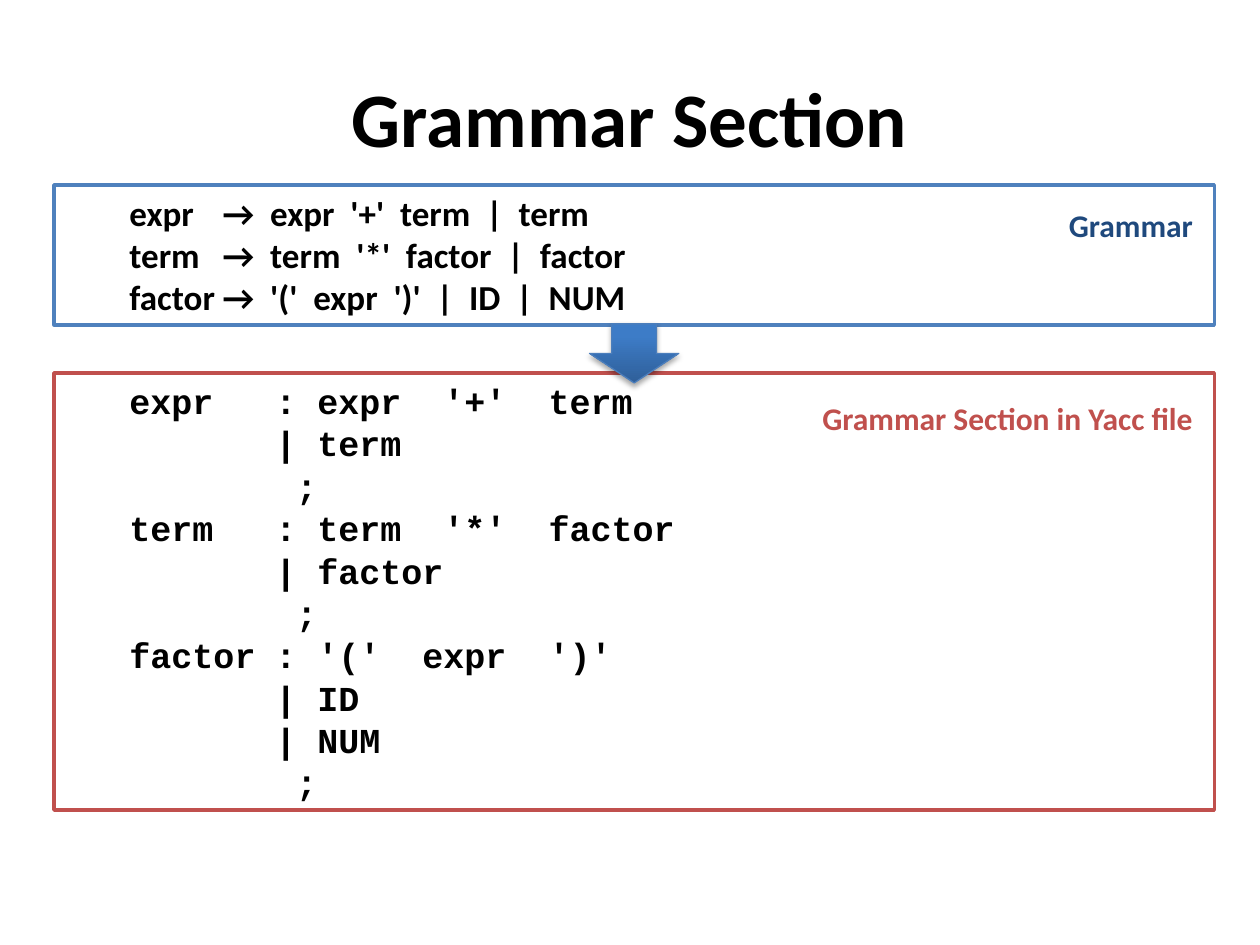
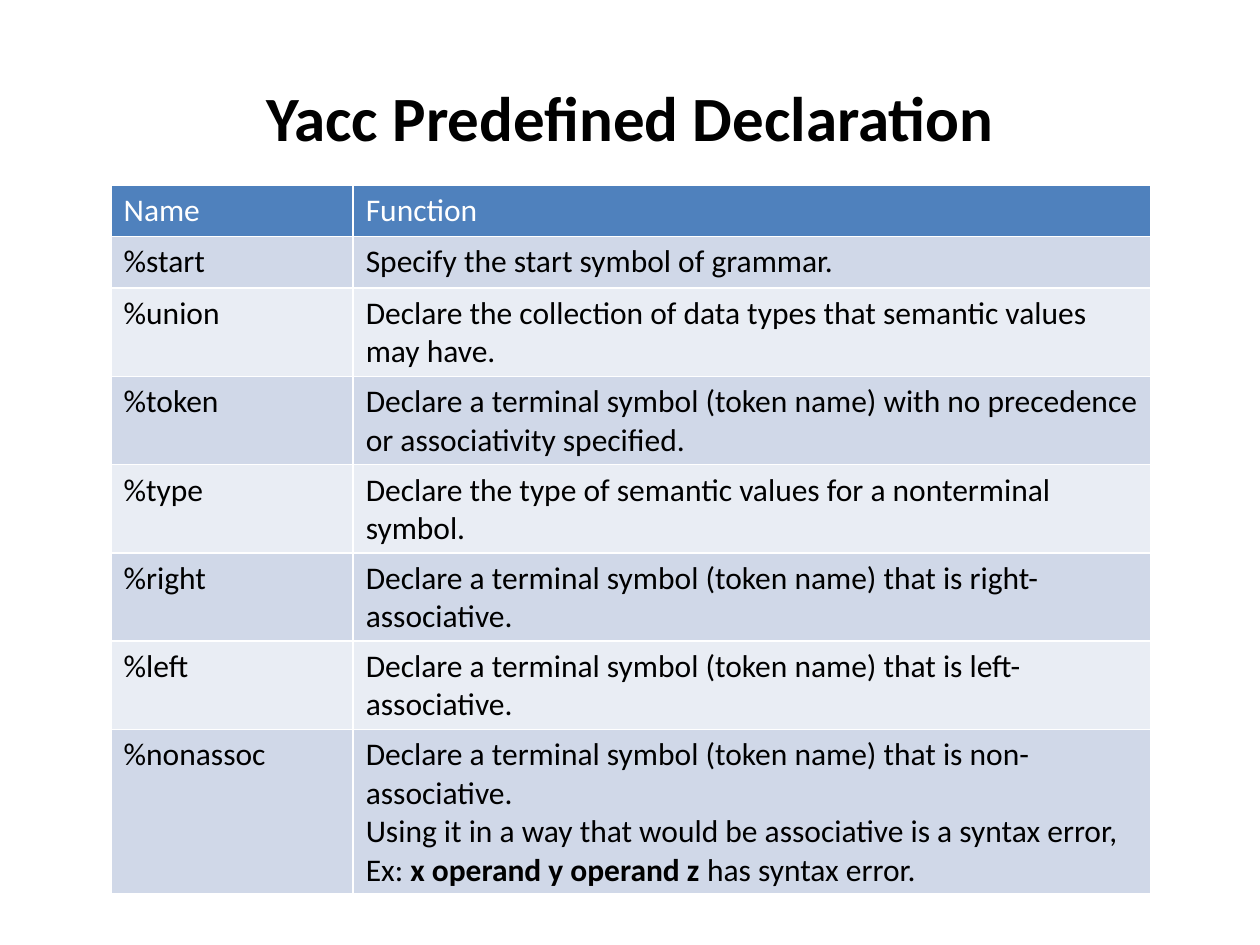
from lxml import etree
from pptx import Presentation
from pptx.dml.color import RGBColor
from pptx.enum.shapes import MSO_SHAPE
from pptx.enum.text import MSO_ANCHOR, PP_ALIGN
from pptx.oxml.ns import qn
from pptx.util import Cm, Pt

RECTANGLE, DOWN_ARROW = MSO_SHAPE.RECTANGLE, MSO_SHAPE.DOWN_ARROW
TOP, MIDDLE = MSO_ANCHOR.TOP, MSO_ANCHOR.MIDDLE
LEFT, CENTER, RIGHT = PP_ALIGN.LEFT, PP_ALIGN.CENTER, PP_ALIGN.RIGHT

BLACK, WHITE = "000000", "FFFFFF"
BLUE, NAVY, RED = "4F81BD", "1F497D", "C0504D"
BANDS = ("D0D8E8", "E9EDF4")
BODY_FONT, CODE_FONT = "Calibri", "Courier New"

# Boxes are left, top, width, height in centimetres
TITLE_BOX = (1.27, 0.76, 22.86, 3.18)
CONTENT_TOP = 3.73
MARGIN = 1.27          # left indent of code lines
CODE_CHARACTER = 0.42  # width of one 20 pt code character

GRAMMAR = [
    ("expr\t→  expr  '+'  term  |  term", 0),
    ("term\t→  term  '*'  factor  |  factor", 0),
    ("factor\t→  '('  expr  ')'  |  ID  |  NUM", 0),
]
# A rule is a name and its alternatives
YACC_RULES = [
    ("expr", ["expr  '+'  term", "term"]),
    ("term", ["term  '*'  factor", "factor"]),
    ("factor", ["'('  expr  ')'", "ID", "NUM"]),
]
DECLARATIONS = [
    ("Name", "Function"),
    ("%start", "Specify the start symbol of grammar."),
    ("%union", "Declare the collection of data types that semantic values "
               "may have."),
    ("%token", "Declare a terminal symbol (token name) with no precedence "
               "or associativity specified."),
    ("%type", "Declare the type of semantic values for a nonterminal symbol."),
    ("%right", "Declare a terminal symbol (token name) that is "
               "right-associative."),
    ("%left", "Declare a terminal symbol (token name) that is "
              "left-associative."),
    ("%nonassoc", "Declare a terminal symbol (token name) that is "
                  "non-associative.\n"
                  "Using it in a way that would be associative is a syntax "
                  "error,\n"
                  "Ex: **x operand y operand z **has syntax error."),
]


def color(value):
    return RGBColor.from_string(value)


def set_font(paragraph, size, ink=BLACK, bold=False, name=BODY_FONT):
    font = paragraph.font
    font.name, font.size, font.bold = name, Pt(size), bold
    font.color.rgb = color(ink)


def add_box(slide, box, line=None, shape_type=RECTANGLE):
    """White shape with an optional 2 pt outline."""
    shape = slide.shapes.add_shape(shape_type, *map(Cm, box))
    shape.shadow.inherit = False
    shape.fill.solid()
    shape.fill.fore_color.rgb = color(WHITE)
    if line:
        shape.line.color.rgb = color(line)
        shape.line.width = Pt(2)
    else:
        shape.line.fill.background()
    return shape


def add_title(slide, text, size):
    frame = slide.shapes.add_textbox(*map(Cm, TITLE_BOX)).text_frame
    frame.word_wrap = True
    frame.vertical_anchor = MIDDLE
    paragraph = frame.paragraphs[0]
    paragraph.text = text
    paragraph.alignment = CENTER
    set_font(paragraph, size, bold=True)


def add_label(slide, panel, size, text, ink):
    """Caption in the top right corner of a panel."""
    left, top, width, _ = panel
    label_left = left + width - size[0] - 0.18
    shape = add_box(slide, (label_left, top + 0.2, *size))
    frame = shape.text_frame
    frame.vertical_anchor = MIDDLE
    paragraph = frame.paragraphs[0]
    paragraph.text = text
    paragraph.alignment = RIGHT
    set_font(paragraph, 18, ink, bold=True)


def add_panel(slide, box, line, rows, hang, font_name, spacing=None):
    """Outlined panel; each row is its text and its indent, and a tab in a
    row leads to the column that lies hang to the right of the margin."""
    frame = add_box(slide, box, line).text_frame
    frame.vertical_anchor = TOP
    for index, (text, indent) in enumerate(rows):
        paragraph = frame.add_paragraph() if index else frame.paragraphs[0]
        paragraph.text = text
        paragraph.alignment = LEFT
        if spacing:
            paragraph.line_spacing = Pt(spacing)
        set_font(paragraph, 20, bold=True, name=font_name)
        hanging = hang if "\t" in text else 0
        properties = paragraph._p.get_or_add_pPr()
        properties.set("marL", str(Cm(MARGIN + indent + hanging)))
        properties.set("indent", str(Cm(-hanging)))


def yacc_rows(bar_indent):
    rows = []
    for name, (first, *others) in YACC_RULES:
        rows.append((f"{name}\t: {first}", 0))
        rows += [(f"| {other}", bar_indent) for other in others]
        rows.append((";", bar_indent + CODE_CHARACTER))
    return rows


def add_arrow(slide, box):
    shape = add_box(slide, box, "4B7EBC", DOWN_ARROW)
    shape.line.width = Pt(0.75)
    shape.fill.gradient()
    shape.fill.gradient_angle = 90
    for stop, value, position in zip(shape.fill.gradient_stops,
                                     ("2F5F99", "3D7CC7"), (0, 0.8)):
        stop.color.rgb = color(value)
        stop.position = position
    # Soft shadow below
    effects = shape._element.spPr.find(qn("a:effectLst"))
    shadow = etree.SubElement(effects, qn("a:outerShdw"), {
        "blurRad": str(Pt(3.1)), "dist": str(Pt(1.8)),
        "dir": "5400000", "rotWithShape": "0"})
    ink = etree.SubElement(shadow, qn("a:srgbClr"), val=BLACK)
    etree.SubElement(ink, qn("a:alpha"), val="35000")


def fill_cell(cell, text, fill, ink):
    """Text between double asterisks is bold."""
    cell.fill.solid()
    cell.fill.fore_color.rgb = color(fill)
    frame = cell.text_frame
    for index, line in enumerate(text.split("\n")):
        paragraph = frame.add_paragraph() if index else frame.paragraphs[0]
        set_font(paragraph, 18, ink)
        for part, words in enumerate(line.split("**")):
            run = paragraph.add_run()
            run.text = words
            run.font.bold = part % 2 == 1


def add_declaration_table(slide, left, top, widths, row_height):
    table = slide.shapes.add_table(
        len(DECLARATIONS), len(widths), Cm(left), Cm(top), Cm(sum(widths)),
        Cm(row_height * len(DECLARATIONS))).table
    for column, width in zip(table.columns, widths):
        column.width = Cm(width)
    for index, texts in enumerate(DECLARATIONS):
        fill = BANDS[(index - 1) % 2] if index else BLUE
        for cell, text in zip(table.rows[index].cells, texts):
            fill_cell(cell, text, fill, BLACK if index else WHITE)


def build_grammar_slide(slide):
    add_title(slide, "Grammar Section", 44)
    left, width = 1.09, 23.39
    grammar = (left, CONTENT_TOP, width, 2.82)
    yacc = (left, 7.52, width, 8.81)
    bar_indent = 7 * CODE_CHARACTER

    # Panels and their captions
    add_panel(slide, grammar, BLUE, GRAMMAR, 1.88, BODY_FONT)
    add_panel(slide, yacc, RED, yacc_rows(bar_indent), bar_indent,
              CODE_FONT, spacing=24.2)
    add_label(slide, yacc, (8.41, 1.4), "Grammar Section in Yacc file", RED)
    add_label(slide, grammar, (3.2, 1.19), "Grammar", NAVY)

    # Arrow from one panel to the next
    arrow_width = 1.8
    add_arrow(slide, (left + (width - arrow_width) / 2, 6.53,
                      arrow_width, 1.19))


def build_declaration_slide(slide):
    add_title(slide, "Yacc Predefined Declaration", 36)
    add_declaration_table(slide, 2.24, CONTENT_TOP, (4.88, 16.08), 1.04)


presentation = Presentation()
presentation.slide_width, presentation.slide_height = Cm(25.4), Cm(19.05)
blank = presentation.slide_layouts[6]
for build in (build_grammar_slide, build_declaration_slide):
    build(presentation.slides.add_slide(blank))
presentation.save("out.pptx")
